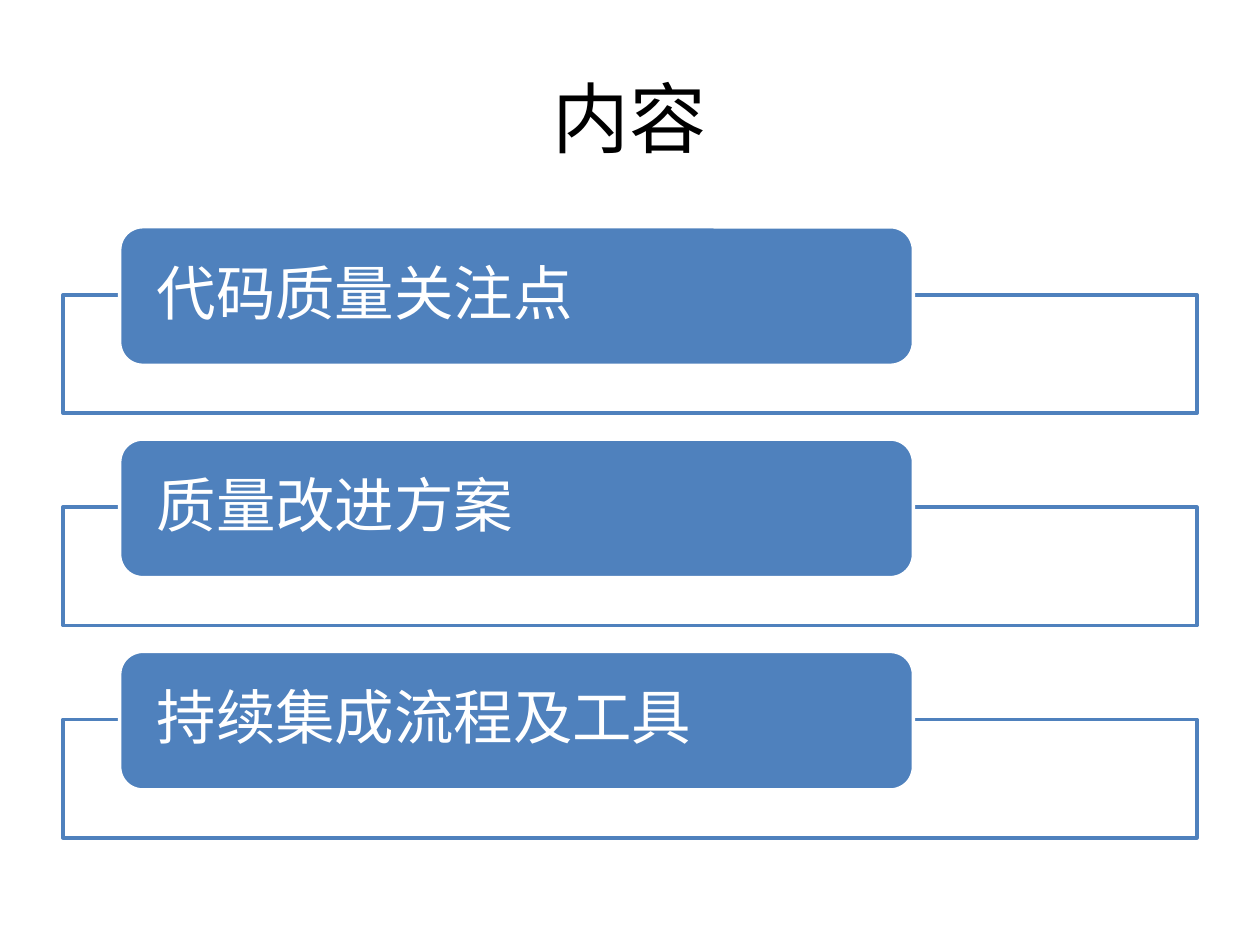
from pptx import Presentation
from pptx.dml.color import RGBColor as RGB
from pptx.enum.shapes import MSO_SHAPE as Kind
from pptx.enum.text import MSO_ANCHOR as Anchor, PP_ALIGN as Align
from pptx.oxml.ns import qn
from pptx.util import Pt
from lxml.etree import SubElement as sub

PX = 9144
HUES = {"ink": "000000", "paper": "FFFFFF", "blue": "4F81BD"}
TOPICS = ["代码质量关注点", "质量改进方案", "持续集成流程及工具"]


def emu(*nums):
    """Turn px lengths into EMU."""
    return [round(num * PX) for num in nums]


def apply(item, **vals):
    """Set each given attribute on an item."""
    for key, val in vals.items():
        setattr(item, key, val)


def write(shape, text, size, face, hue, align, pad, gap=1.0):
    """Put one styled line of text into a shape."""
    frame = shape.text_frame
    side, = emu(pad)
    apply(frame, word_wrap=True, vertical_anchor=Anchor.MIDDLE,
          margin_left=side, margin_right=side, margin_top=0, margin_bottom=0)
    para = frame.paragraphs[0]
    apply(para, alignment=align, line_spacing=gap)
    run = para.add_run()
    run.text = text
    apply(run.font, size=Pt(size), name=face)
    run.font.color.rgb = RGB.from_string(HUES[hue])
    sub(run.font._element, qn("a:ea"), typeface="Noto Sans CJK SC")


def panel(slide, kind, box, fill, line):
    """Draw a filled and outlined shape."""
    shape = slide.shapes.add_shape(kind, *emu(*box))
    shape.shadow.inherit = False
    shape.fill.solid()
    shape.fill.fore_color.rgb = RGB.from_string(HUES[fill])
    shape.line.color.rgb = RGB.from_string(HUES[line])
    shape.line.width = Pt(2)
    return shape


def title(slide, box, text):
    """Place the centred slide title."""
    write(slide.shapes.add_textbox(*emu(*box)), text, 44, "Calibri",
          "ink", Align.CENTER, 10)


def topic(slide, box, text):
    """Place an open frame with a label pill over its top edge."""
    left, top, wide, high = box
    frame = panel(slide, Kind.RECTANGLE, (left, top + 54, wide, high - 54),
                  "paper", "blue")
    tint = frame.fill._xPr.find(qn("a:solidFill"))[0]
    sub(tint, qn("a:alpha"), val="90000")
    pill = panel(slide, Kind.ROUNDED_RECTANGLE,
                 (left + wide * 0.05, top, wide * 0.7, 110), "blue", "paper")
    write(pill, text, 34, "Noto Sans CJK SC", "paper", Align.LEFT, 24, 0.9)


def agenda(slide, box, items):
    """Stack the topics evenly in a box."""
    left, top, wide, high = box
    row = 148
    step = (high - row) / (len(items) - 1)
    for num, text in enumerate(items):
        topic(slide, (left, top + num * step, wide, row), text)


def main():
    """Build and save the contents slide."""
    deck = Presentation()
    wide, high = emu(1000, 750)
    apply(deck, slide_width=wide, slide_height=high)
    slide = deck.slides.add_slide(deck.slide_layouts[6])
    title(slide, (50, 30, 900, 125), "内容")
    agenda(slide, (50, 180, 900, 485), TOPICS)
    deck.save("out.pptx")


if __name__ == "__main__":
    main()
